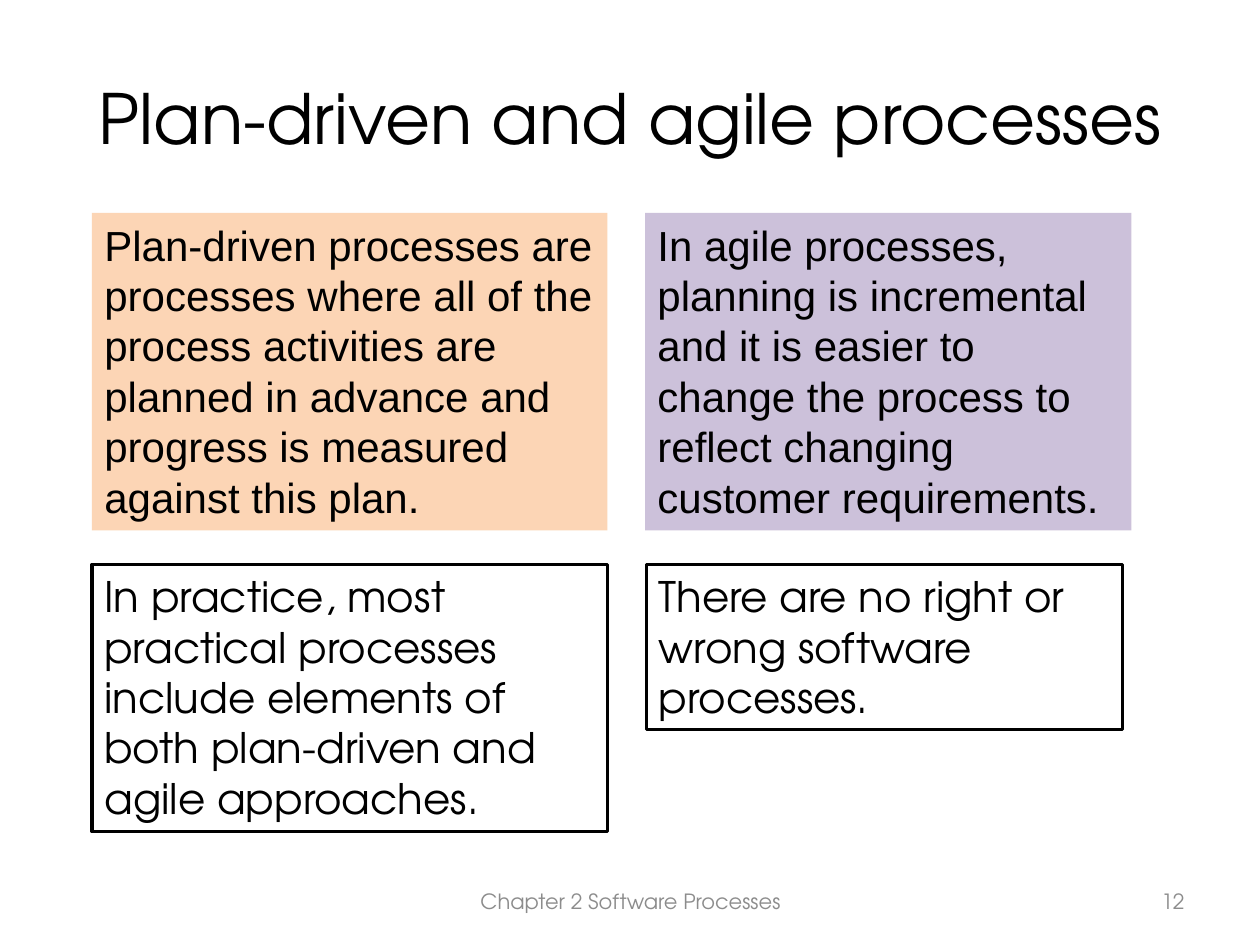
from dataclasses import dataclass

from pptx import Presentation
from pptx.dml.color import RGBColor
from pptx.enum.shapes import MSO_SHAPE
from pptx.enum.text import MSO_ANCHOR, MSO_AUTO_SIZE, PP_ALIGN
from pptx.util import Inches, Pt

RECTANGLE = MSO_SHAPE.RECTANGLE
TOP, MIDDLE = MSO_ANCHOR.TOP, MSO_ANCHOR.MIDDLE
LEFT, CENTER, RIGHT = PP_ALIGN.LEFT, PP_ALIGN.CENTER, PP_ALIGN.RIGHT
FIXED, GROW = MSO_AUTO_SIZE.NONE, MSO_AUTO_SIZE.SHAPE_TO_FIT_TEXT


@dataclass(frozen=True)
class Theme:
    heading_font: str = "TeX Gyre Adventor"
    body_font: str = "Arial"
    title_size: float = 39.6
    body_size: float = 24
    footer_size: float = 12
    ink: str = "000000"
    muted: str = "8C8C8C"
    paper: str = "FFFFFF"
    peach: str = "FCD5B5"
    lavender: str = "CCC1DA"
    border_width: float = 2


class SlideBuilder:
    def __init__(self, slide, theme):
        self.slide = slide
        self.theme = theme

    def set_text(self, shape, text, font, size, color, align, anchor, auto_size=FIXED):
        frame = shape.text_frame
        frame.text = text
        frame.word_wrap = True
        frame.auto_size = auto_size
        frame.vertical_anchor = anchor
        paragraph = frame.paragraphs[0]
        paragraph.alignment = align
        for run in paragraph.runs:
            run.font.name = font
            run.font.size = Pt(size)
            run.font.color.rgb = RGBColor.from_string(color)

    def title(self, text, left, top, width, height):
        shape = self.slide.shapes.title
        shape.left, shape.top = Inches(left), Inches(top)
        shape.width, shape.height = Inches(width), Inches(height)
        theme = self.theme
        self.set_text(shape, text, theme.heading_font, theme.title_size, theme.ink, CENTER, MIDDLE)

    def footer(self, text, left, width, align):
        shape = self.slide.shapes.add_textbox(
            Inches(left), Inches(6.95), Inches(width), Inches(0.4))
        theme = self.theme
        self.set_text(shape, text, theme.heading_font, theme.footer_size, theme.muted, align, MIDDLE)

    def panel(self, text, left, top, width, height, fill, font, bordered):
        shape = self.slide.shapes.add_shape(
            RECTANGLE, Inches(left), Inches(top), Inches(width), Inches(height))
        shape.shadow.inherit = False
        shape.fill.solid()
        shape.fill.fore_color.rgb = RGBColor.from_string(fill)
        theme = self.theme
        if bordered:
            shape.line.color.rgb = RGBColor.from_string(theme.ink)
            shape.line.width = Pt(theme.border_width)
        else:
            shape.line.fill.background()
        self.set_text(shape, text, font, theme.body_size, theme.ink, LEFT, TOP, GROW)

    def definition(self, text, left, width, fill):
        self.panel(text, left, 1.69, width, 2.52, fill, self.theme.body_font, False)

    def remark(self, text, left, width, height):
        self.panel(text, left, 4.48, width, height, self.theme.paper,
                   self.theme.heading_font, True)


def main():
    presentation = Presentation()
    presentation.slide_width = Inches(10)
    presentation.slide_height = Inches(7.5)
    theme = Theme()
    slide = presentation.slides.add_slide(presentation.slide_layouts[5])
    builder = SlideBuilder(slide, theme)

    builder.title("Plan-driven and agile processes", 0.5, 0.3, 9, 1.25)
    builder.footer("Chapter 2 Software Processes", 3.42, 3.17, CENTER)
    builder.footer("12", 7.17, 2.33, RIGHT)
    builder.definition(
        "Plan-driven processes are processes where all of the process activities "
        "are planned in advance and progress is measured against this plan.",
        0.73, 4.09, theme.peach)
    builder.definition(
        "In agile processes, planning is incremental and it is easier to change "
        "the process to reflect changing customer requirements.",
        5.12, 3.86, theme.lavender)
    builder.remark(
        "In practice, most practical processes include elements of both "
        "plan-driven and agile approaches.",
        0.73, 4.09, 2.12)
    builder.remark("There are no right or wrong software processes.", 5.13, 3.78, 1.31)

    presentation.save("out.pptx")


if __name__ == "__main__":
    main()
